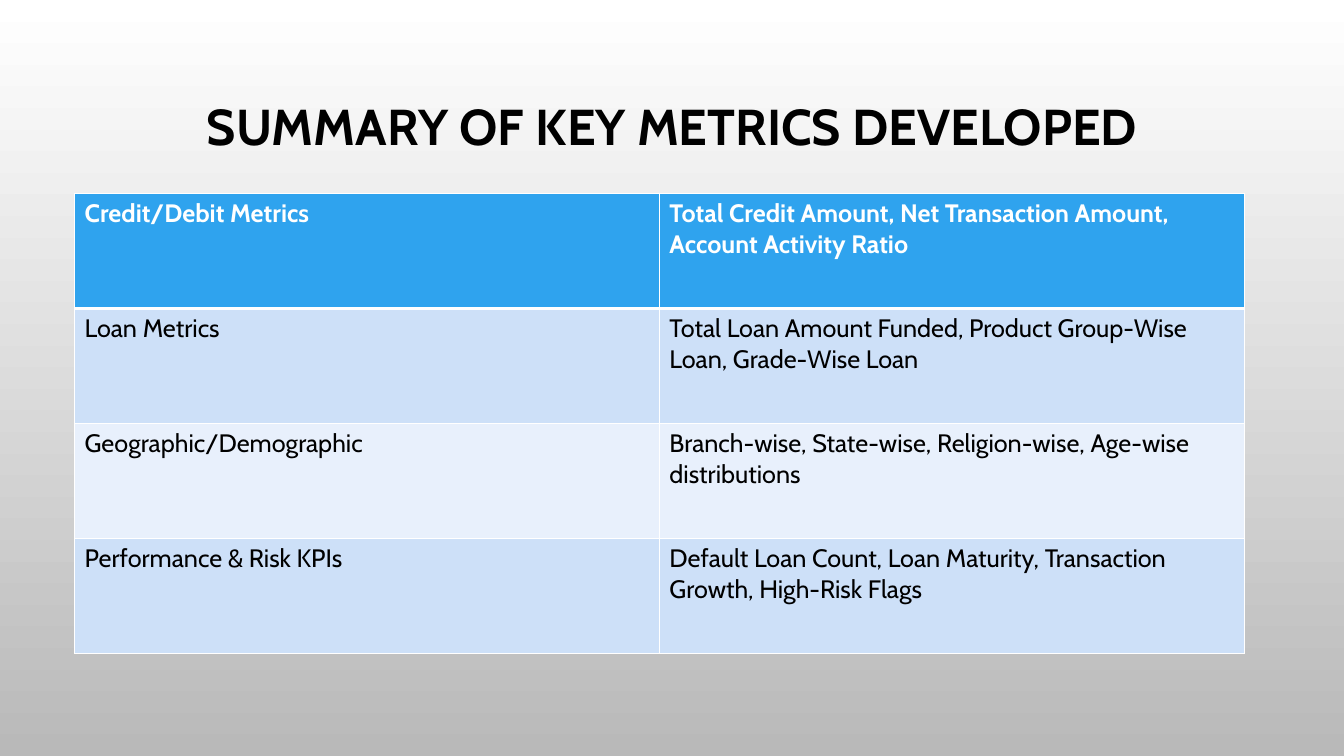
from pptx import Presentation
from pptx import util as u
from pptx.dml import color
from pptx.enum import text
from pptx.oxml import ns
from lxml import etree

FONT = "Cabin"
HUES = {
    "black": "000000",
    "white": "FFFFFF",
    "grey": "B9B9B9",
    "head": "2FA3EE",
    "odd": "CDE0F8",
    "even": "E8F0FC",
}
ROWS = [
    ("Credit/Debit Metrics",
     "Total Credit Amount, Net Transaction Amount, Account Activity Ratio"),
    ("Loan Metrics",
     "Total Loan Amount Funded, Product Group-Wise Loan, Grade-Wise Loan"),
    ("Geographic/Demographic",
     "Branch-wise, State-wise, Religion-wise, Age-wise distributions"),
    ("Performance & Risk KPIs",
     "Default Loan Count, Loan Maturity, Transaction Growth, High-Risk Flags"),
]


def hue(name):
    return color.RGBColor.from_string(HUES[name])


def add_run(para, words, size, tint, bold):
    run = para.add_run()
    run.text = words
    font = run.font
    font.name, font.size, font.bold = FONT, u.Pt(size), bold
    font.color.rgb = hue(tint)


def paint_back(slide):
    fill = slide.background.fill
    fill.gradient()
    fill.gradient_angle = 270
    for stop, tint, place in zip(fill.gradient_stops, ("white", "grey"), (0, 1)):
        stop.color.rgb = hue(tint)
        stop.position = place


def add_title(slide, left, top, width, height):
    box = slide.shapes.add_textbox(*map(u.Inches, (left, top, width, height)))
    frame = box.text_frame
    frame.word_wrap = True
    frame.vertical_anchor = text.MSO_ANCHOR.TOP
    frame.margin_top = u.Inches(0.33)
    para = frame.paragraphs[0]
    para.alignment = text.PP_ALIGN.CENTER
    para.line_spacing = 0.9
    add_run(para, "SUMMARY OF KEY METRICS DEVELOPED", 36, "black", True)


def set_edges(cell, widths):
    props = cell._tc.get_or_add_tcPr()
    for spot, (side, width) in enumerate(zip("LRTB", widths)):
        line = etree.Element(ns.qn(f"a:ln{side}"), w=str(u.Pt(width)))
        fill = etree.SubElement(line, ns.qn("a:solidFill"))
        etree.SubElement(fill, ns.qn("a:srgbClr"), val=HUES["white"])
        props.insert(spot, line)


def add_grid(slide, left, top, width, height):
    frame = slide.shapes.add_table(
        len(ROWS), 2, *map(u.Inches, (left, top, width, height)))
    table = frame.table
    for col in table.columns:
        col.width = u.Inches(width / 2)
    for i, row in enumerate(ROWS):
        table.rows[i].height = u.Inches(height / len(ROWS))
        head = i == 0
        shade = "head" if head else "odd" if i % 2 else "even"
        for j, words in enumerate(row):
            cell = table.cell(i, j)
            cell.fill.solid()
            cell.fill.fore_color.rgb = hue(shade)
            set_edges(cell, (1, 1, 3 if i == 1 else 1, 3 if head else 1))
            add_run(cell.text_frame.paragraphs[0], words, 18,
                    "white" if head else "black", head)


def main():
    deck = Presentation()
    deck.slide_width, deck.slide_height = u.Inches(13.33), u.Inches(7.5)
    slide = deck.slides.add_slide(deck.slide_layouts[6])
    paint_back(slide)
    add_title(slide, 1, 0.68, 11.33, 1.75)
    add_grid(slide, 0.74, 1.92, 11.6, 4.56)
    deck.save("out.pptx")


if __name__ == "__main__":
    main()
